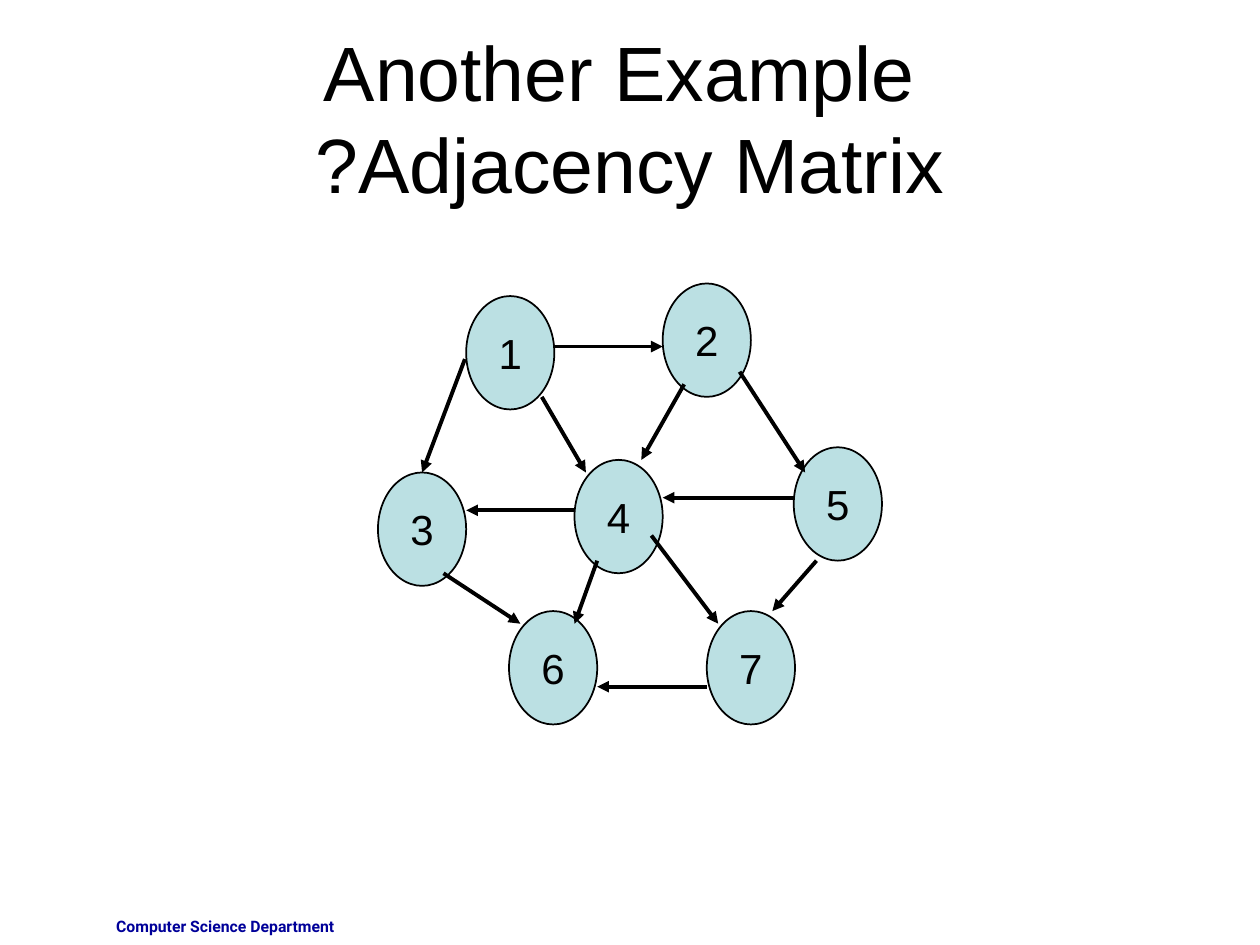
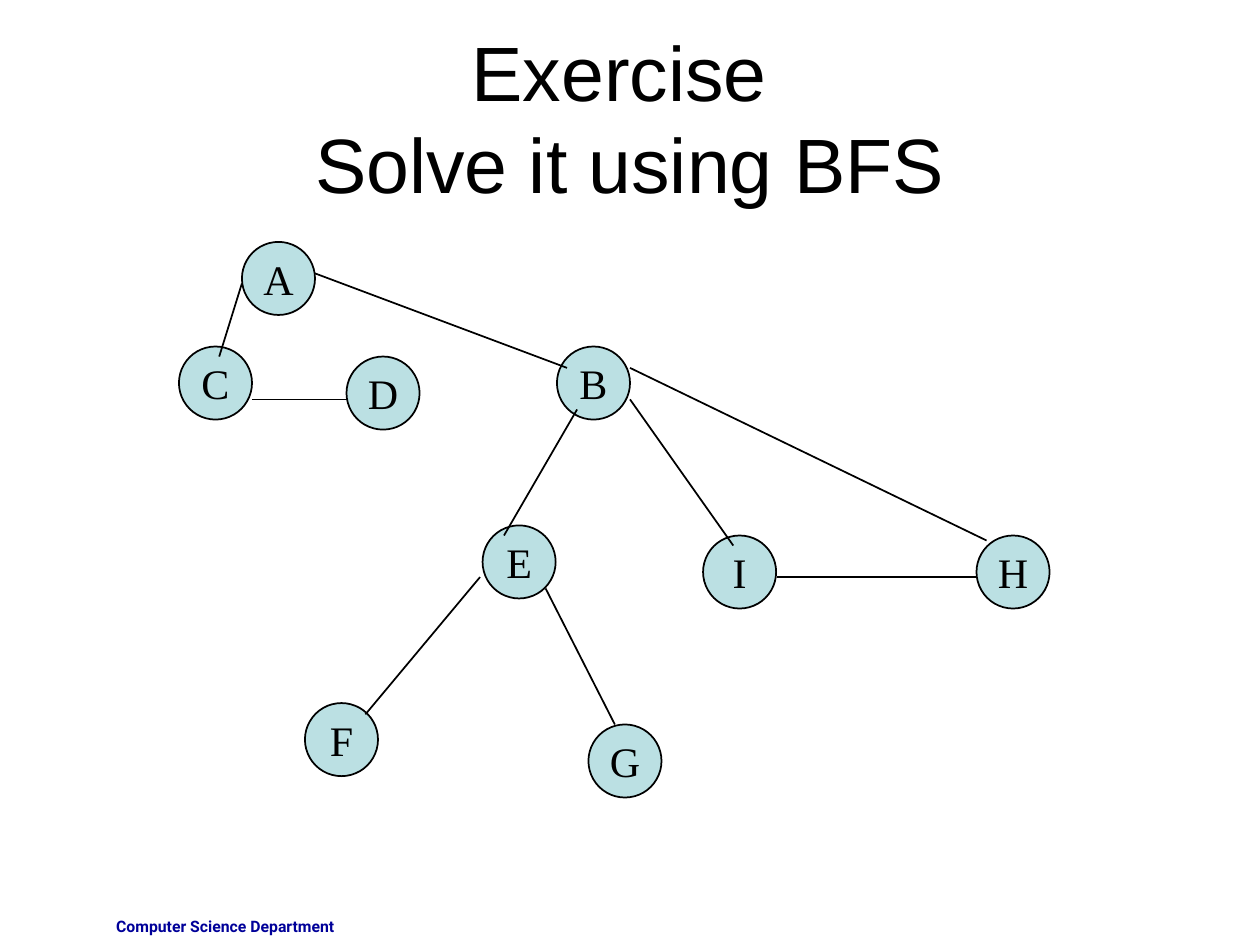
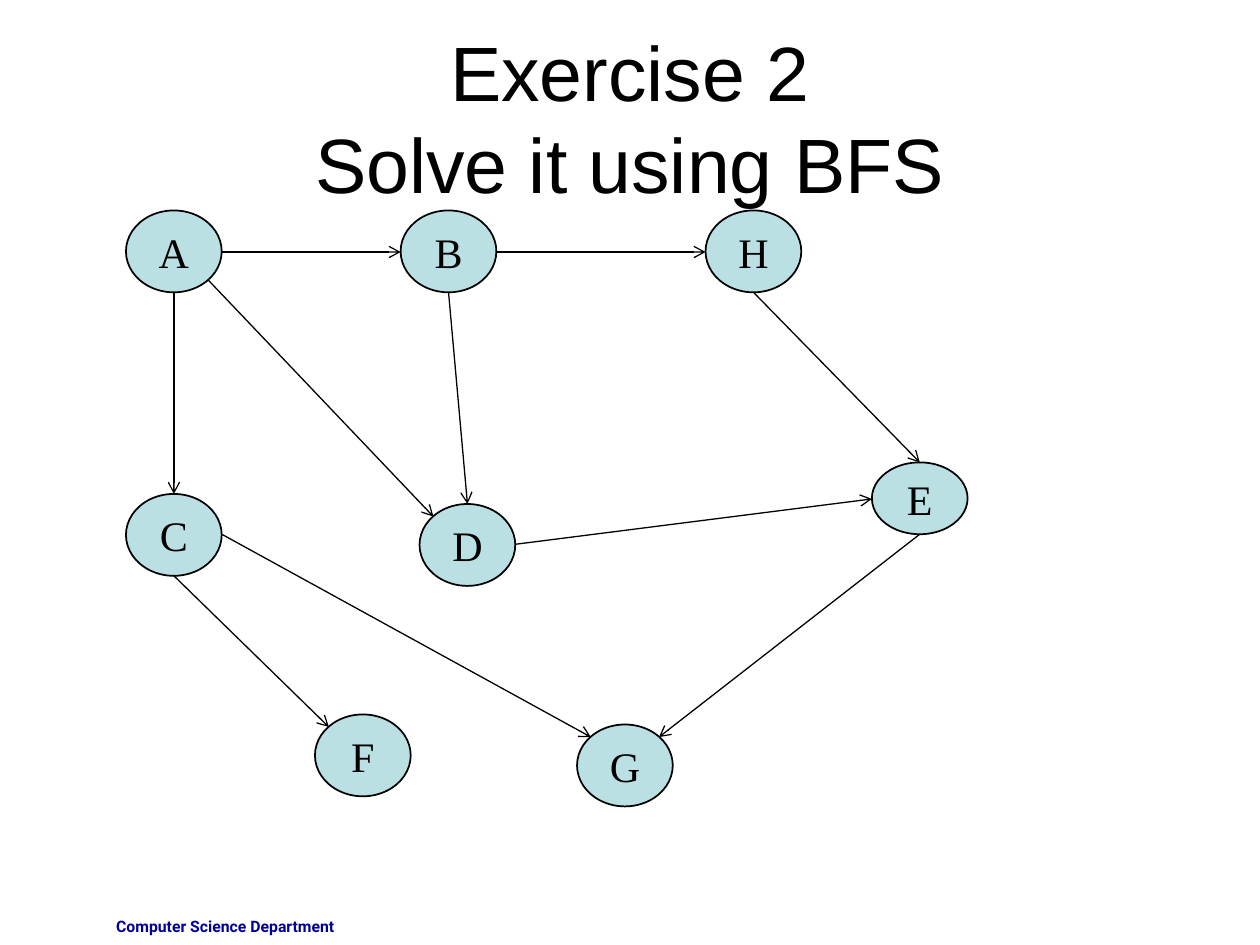
from dataclasses import dataclass
from math import sqrt

from lxml.etree import SubElement
from pptx import Presentation
from pptx.dml.color import RGBColor
from pptx.enum.shapes import MSO_CONNECTOR, MSO_SHAPE
from pptx.enum.text import MSO_ANCHOR, MSO_AUTO_SIZE, PP_ALIGN
from pptx.oxml.ns import qn
from pptx.util import Emu, Pt

STRAIGHT = MSO_CONNECTOR.STRAIGHT
OVAL = MSO_SHAPE.OVAL
MIDDLE = MSO_ANCHOR.MIDDLE
FIXED = MSO_AUTO_SIZE.NONE
CENTER, RIGHT = PP_ALIGN.CENTER, PP_ALIGN.RIGHT
EMU_PER_PX = 9144
TITLE_ONLY = 5


@dataclass(frozen=True)
class Theme:
    ink: str = "000000"
    node_fill: str = "BBE0E3"
    footer_ink: str = "000099"
    title_font: str = "Arial"
    node_font: str = "Times New Roman"
    footer_font: str = "Roboto"
    complex_font: str = "Arial"
    title_size: int = 44
    node_size: int = 24
    footer_size: int = 9
    outline: int = 1


THEME = Theme()
PAGE_SIZE = (1000, 750)
TITLE_BOX = (50, 30, 900, 125)
FOOTER_BOX = (42, 723, 233, 27)
FOOTER = "Computer Science Department"

DIAGONAL = sqrt(0.5)
SITES = {
    "top": (0, -1), "bottom": (0, 1), "left": (-1, 0), "right": (1, 0),
    "top left": (-DIAGONAL, -DIAGONAL), "top right": (DIAGONAL, -DIAGONAL),
    "bottom right": (DIAGONAL, DIAGONAL),
}


def sized(places, width, height):
    return {name: (left, top, width, height) for name, (left, top) in places.items()}


def site_point(node, site):
    left, top, width, height = node
    across, down = SITES[site]
    return round(left + width * (1 + across) / 2), round(top + height * (1 + down) / 2)


def site_edges(nodes, links):
    return [site_point(nodes[start], start_site) + site_point(nodes[end], end_site)
            for start, start_site, end, end_site in links]


MATRIX_NODES = sized({
    "1": (370, 235), "2": (526, 225), "5": (630, 355), "3": (300, 375),
    "7": (561, 485), "6": (404, 485), "4": (456, 365),
}, 70, 90)
MATRIX_EDGES = [
    (439, 275, 526, 275), (369, 285, 335, 375), (587, 295, 639, 375),
    (456, 405, 370, 405), (352, 455, 413, 495), (561, 545, 474, 545),
    (648, 445, 613, 485), (630, 395, 526, 395), (430, 315, 465, 375),
    (543, 305, 509, 365), (474, 445, 456, 495), (517, 425, 570, 495),
]

TREE_NODES = sized({
    "A": (192, 192), "C": (142, 275), "D": (275, 283), "B": (442, 275),
    "E": (383, 417), "F": (242, 558), "G": (467, 575), "I": (558, 425),
    "H": (775, 425),
}, 58, 58)
TREE_EDGES = [
    (192, 225, 174, 283), (200, 317, 275, 317), (250, 217, 450, 292),
    (458, 325, 400, 425), (381, 458, 290, 567), (433, 467, 488, 575),
    (500, 317, 582, 433), (500, 292, 783, 429), (617, 458, 775, 458),
]

DIRECTED_NODES = sized({
    "A": (100, 167), "C": (100, 392), "D": (333, 400), "B": (318, 167),
    "F": (250, 567), "G": (458, 575), "H": (560, 167),
}, 76, 65) | sized({"E": (692, 367)}, 76, 57)
DIRECTED_LINKS = [
    ("A", "right", "B", "left"), ("A", "bottom right", "D", "top left"),
    ("A", "bottom", "C", "top"), ("B", "right", "H", "left"),
    ("B", "bottom", "D", "top"), ("H", "bottom", "E", "top"),
    ("D", "right", "E", "left"), ("C", "bottom", "F", "top left"),
    ("C", "right", "G", "top left"), ("E", "bottom", "G", "top right"),
]

GRAPHS = [
    {"title": ("Another Example ", "Adjacency Matrix?"), "rtl": True,
     "nodes": MATRIX_NODES, "edges": MATRIX_EDGES, "weight": 2.25, "arrow": "triangle"},
    {"title": ("Exercise ", "Solve it using BFS"), "rtl": False,
     "nodes": TREE_NODES, "edges": TREE_EDGES, "weight": 1, "arrow": None},
    {"title": ("Exercise 2", "Solve it using BFS"), "rtl": True,
     "nodes": DIRECTED_NODES, "edges": site_edges(DIRECTED_NODES, DIRECTED_LINKS),
     "weight": 0.75, "arrow": "arrow"},
]


def px(*lengths):
    return [Emu(length * EMU_PER_PX) for length in lengths]


def color(value):
    return RGBColor.from_string(value)


def write(frame, text, font, size, ink, align, rtl=True, bold=False):
    frame.text = text
    para = frame.paragraphs[0]
    para.alignment = align
    if rtl:
        para._p.get_or_add_pPr().set("rtl", "1")
    for span in para.runs:
        span.font.name = font
        span.font.size = Pt(size)
        span.font.bold = bold
        span.font.color.rgb = color(ink)
        SubElement(span.font._element, qn("a:cs"), typeface=THEME.complex_font)


def add_footer(layout, page):
    box = page.shapes.add_textbox(*px(*FOOTER_BOX))
    box.text_frame.word_wrap = True
    write(box.text_frame, FOOTER, THEME.footer_font, THEME.footer_size,
          THEME.footer_ink, RIGHT, bold=True)
    layout.shapes.element.append(box.element)


def set_title(page, lines, rtl):
    title = page.shapes.title
    title.left, title.top, title.width, title.height = px(*TITLE_BOX)
    frame = title.text_frame
    frame.auto_size = FIXED
    frame.word_wrap = True
    frame.vertical_anchor = MIDDLE
    write(frame, "\v".join(lines), THEME.title_font, THEME.title_size,
          THEME.ink, CENTER, rtl)


def add_node(page, name, place):
    node = page.shapes.add_shape(OVAL, *px(*place))
    node.shadow.inherit = False
    node.fill.solid()
    node.fill.fore_color.rgb = color(THEME.node_fill)
    node.line.color.rgb = color(THEME.ink)
    node.line.width = Pt(THEME.outline)
    node.text_frame.word_wrap = False
    node.text_frame.vertical_anchor = MIDDLE
    write(node.text_frame, name, THEME.node_font, THEME.node_size, THEME.ink, CENTER)


def add_edge(page, ends, weight, arrow):
    edge = page.shapes.add_connector(STRAIGHT, *px(*ends))
    edge.line.color.rgb = color(THEME.ink)
    edge.line.width = Pt(weight)
    properties = edge.element.spPr
    if arrow:
        SubElement(properties.find(qn("a:ln")), qn("a:tailEnd"), type=arrow)
    SubElement(properties, qn("a:effectLst"))


def main():
    deck = Presentation()
    deck.slide_width, deck.slide_height = px(*PAGE_SIZE)
    layout = deck.slide_layouts[TITLE_ONLY]
    for graph in GRAPHS:
        page = deck.slides.add_slide(layout)
        set_title(page, graph["title"], graph["rtl"])
        for name, place in graph["nodes"].items():
            add_node(page, name, place)
        for ends in graph["edges"]:
            add_edge(page, ends, graph["weight"], graph["arrow"])
    add_footer(layout, deck.slides[0])
    deck.save("out.pptx")


if __name__ == "__main__":
    main()
